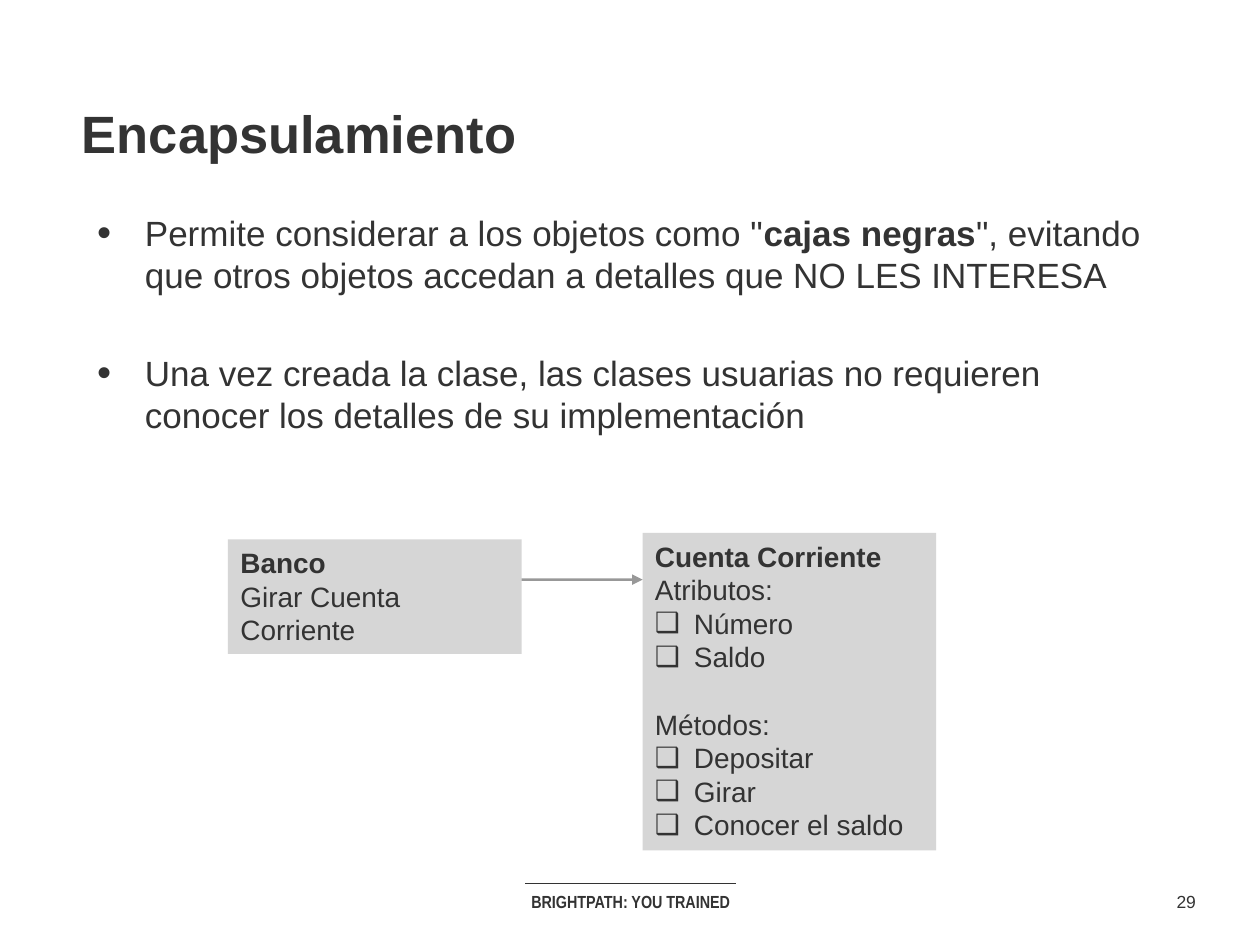
import pptx
import pptx.dml.color
import pptx.enum.shapes
import pptx.enum.text
import pptx.util
from pptx.oxml.ns import qn
from pptx.util import Inches, Pt

COLORS = {"text": "333333", "card": "D6D6D6", "arrow": "323232"}
LINE_HEIGHT = 1.2
ALIGN = pptx.enum.text.PP_ALIGN
ANCHOR = pptx.enum.text.MSO_ANCHOR

TITLE = "Encapsulamiento"
# Each bullet is a list of (text, bold) runs.
BULLETS = [
    [('Permite considerar a los objetos como "', False), ("cajas negras", True),
     ('", evitando que otros objetos accedan a detalles que NO LES INTERESA', False)],
    [("Una vez creada la clase, las clases usuarias no requieren conocer "
      "los detalles de su implementación", False)],
]
# Each section is a list of plain lines followed by a list of ticked members.
CLASSES = [
    {"name": "Cuenta Corriente", "at": (5.1, 4.23, 2.33, 2.52),
     "sections": [(["Atributos:"], ["Número", "Saldo"]),
                  (["Métodos:"], ["Depositar", "Girar", "Conocer el saldo"])]},
    {"name": "Banco", "at": (1.81, 4.28, 2.33, 0.91),
     "sections": [(["Girar Cuenta Corriente"], [])]},
]
FOOTER = [
    ("BRIGHTPATH: YOU TRAINED", (3.67, 7.02, 2.67, 0.27), "Arial Narrow", True),
    ("29", (9.23, 7.02, 0.37, 0.27), "Arial", False),
]


def rgb(name):
    return pptx.dml.color.RGBColor.from_string(COLORS[name])


def place(shape, box):
    shape.left, shape.top, shape.width, shape.height = map(Inches, box)


def add_run(paragraph, text, size, bold=False, font="Arial"):
    run = paragraph.add_run()
    run.text = text
    run.font.name, run.font.size, run.font.bold = font, Pt(size), bold
    run.font.color.rgb = rgb("text")


def set_bullet(paragraph, char, indent, percent=100):
    properties = paragraph._p.get_or_add_pPr()
    properties.set("marL", str(Inches(indent)))
    properties.set("indent", str(-Inches(indent)))
    for tag, key, value in (("a:buSzPct", "val", str(percent * 1000)),
                            ("a:buFont", "typeface", "Arial"),
                            ("a:buChar", "char", char)):
        properties.makeelement(qn(tag), {})
        element = pptx.oxml.xmlchemy.OxmlElement(tag)
        element.set(key, value)
        properties.append(element)


def next_paragraph(frame, size, space_before=0):
    """Return the empty first paragraph, or a new one, with its line spacing set."""
    paragraph = frame.paragraphs[0]
    if paragraph.runs:
        paragraph = frame.add_paragraph()
        paragraph.space_before = Pt(space_before)
    else:
        paragraph.space_before = Pt(0)
    paragraph.alignment = ALIGN.LEFT
    paragraph.line_spacing = Pt(size * LINE_HEIGHT)
    return paragraph


def add_line(slide, start, end, color, width):
    line = slide.shapes.add_connector(
        pptx.enum.shapes.MSO_CONNECTOR.STRAIGHT, *map(Inches, start + end))
    line.line.color.rgb = rgb(color)
    line.line.width = Pt(width)
    line._element.spPr.append(pptx.oxml.xmlchemy.OxmlElement("a:effectLst"))
    return line


def add_footer(slide):
    for text, box, font, bold in FOOTER:
        frame = slide.shapes.add_textbox(*map(Inches, box)).text_frame
        frame.word_wrap = True
        frame.paragraphs[0].alignment = ALIGN.CENTER
        add_run(frame.paragraphs[0], text, 10, bold, font)
    add_line(slide, (4.17, 7.01), (5.84, 7.01), "text", 0.5)


def add_title(slide):
    title = slide.shapes.title
    place(title, (0.65, 0.74, 5.52, 0.61))
    frame = title.text_frame
    frame.margin_left = frame.margin_right = 0
    frame.vertical_anchor = ANCHOR.BOTTOM
    frame.auto_size = pptx.enum.text.MSO_AUTO_SIZE.NONE
    frame.paragraphs[0].alignment = ALIGN.LEFT
    add_run(frame.paragraphs[0], TITLE, 30, True)


def add_bullets(slide):
    body = slide.placeholders[1]
    place(body, (0.67, 1.23, 8.66, 2.41))
    frame = body.text_frame
    frame.margin_top = Inches(0.45)
    frame.vertical_anchor = ANCHOR.TOP
    frame.auto_size = pptx.enum.text.MSO_AUTO_SIZE.NONE
    for runs in BULLETS:
        paragraph = next_paragraph(frame, 20, space_before=32)
        set_bullet(paragraph, "•", 0.38, 115)
        for text, bold in runs:
            add_run(paragraph, text, 20, bold)


def add_class(slide, name, at, sections):
    size = 16
    card = slide.shapes.add_shape(
        pptx.enum.shapes.MSO_SHAPE.RECTANGLE, *map(Inches, at))
    card.shadow.inherit = False
    card.fill.solid()
    card.fill.fore_color.rgb = rgb("card")
    card.line.fill.background()
    frame = card.text_frame
    frame.word_wrap = True
    frame.vertical_anchor = ANCHOR.TOP
    add_run(next_paragraph(frame, size), name, size, True)
    for number, (labels, members) in enumerate(sections):
        gap = size * LINE_HEIGHT if number else 0
        for label in labels:
            add_run(next_paragraph(frame, size, gap), label, size)
        for member in members:
            paragraph = next_paragraph(frame, size)
            set_bullet(paragraph, "❑", 0.31)
            add_run(paragraph, member, size)


def add_arrow(slide):
    arrow = add_line(slide, (4.14, 4.6), (5.1, 4.6), "arrow", 1.35)
    outline = arrow.line._get_or_add_ln()
    alpha = pptx.oxml.xmlchemy.OxmlElement("a:alpha")
    alpha.set("val", "50000")
    outline.find(".//" + qn("a:srgbClr")).append(alpha)
    head = pptx.oxml.xmlchemy.OxmlElement("a:tailEnd")
    head.set("type", "triangle")
    outline.append(head)


def main():
    deck = pptx.Presentation()
    deck.slide_width, deck.slide_height = Inches(10), Inches(7.5)
    slide = deck.slides.add_slide(deck.slide_layouts[1])
    add_footer(slide)
    add_title(slide)
    add_bullets(slide)
    for entry in CLASSES:
        add_class(slide, **entry)
    add_arrow(slide)
    deck.save("out.pptx")


if __name__ == "__main__":
    main()
